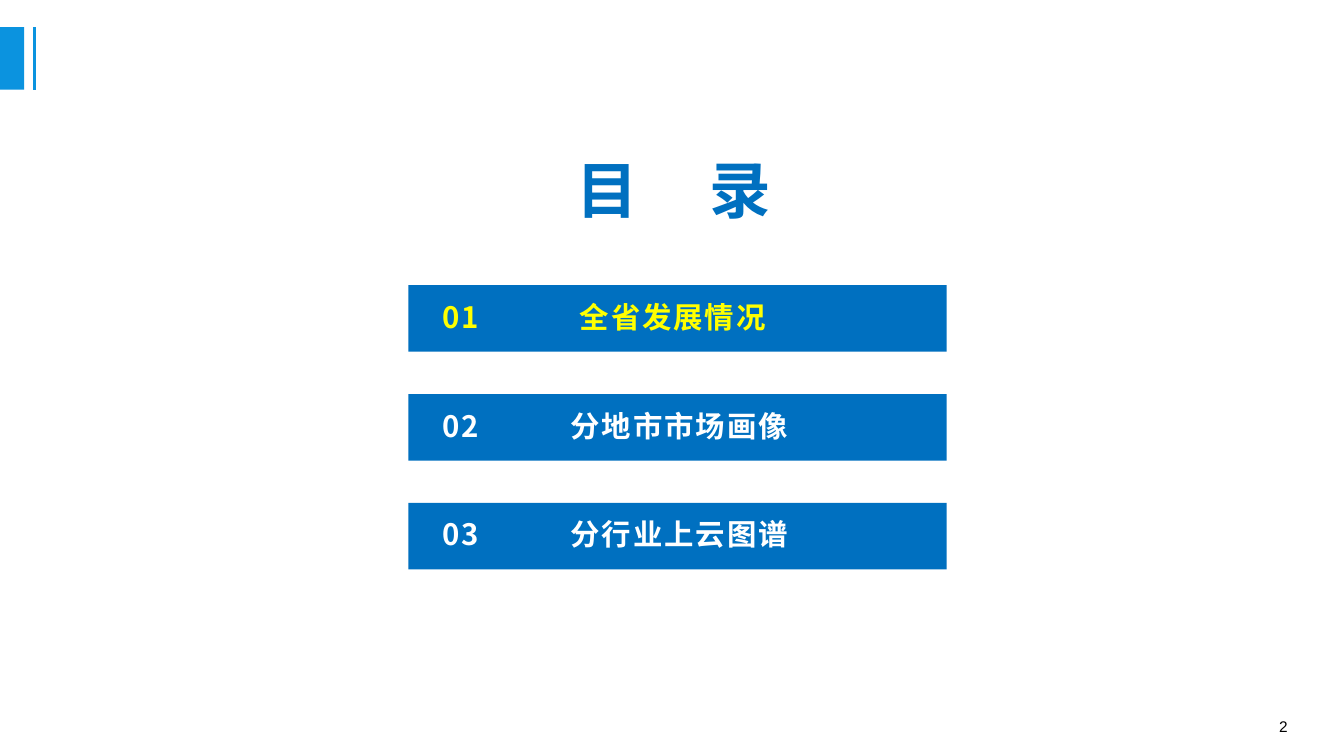
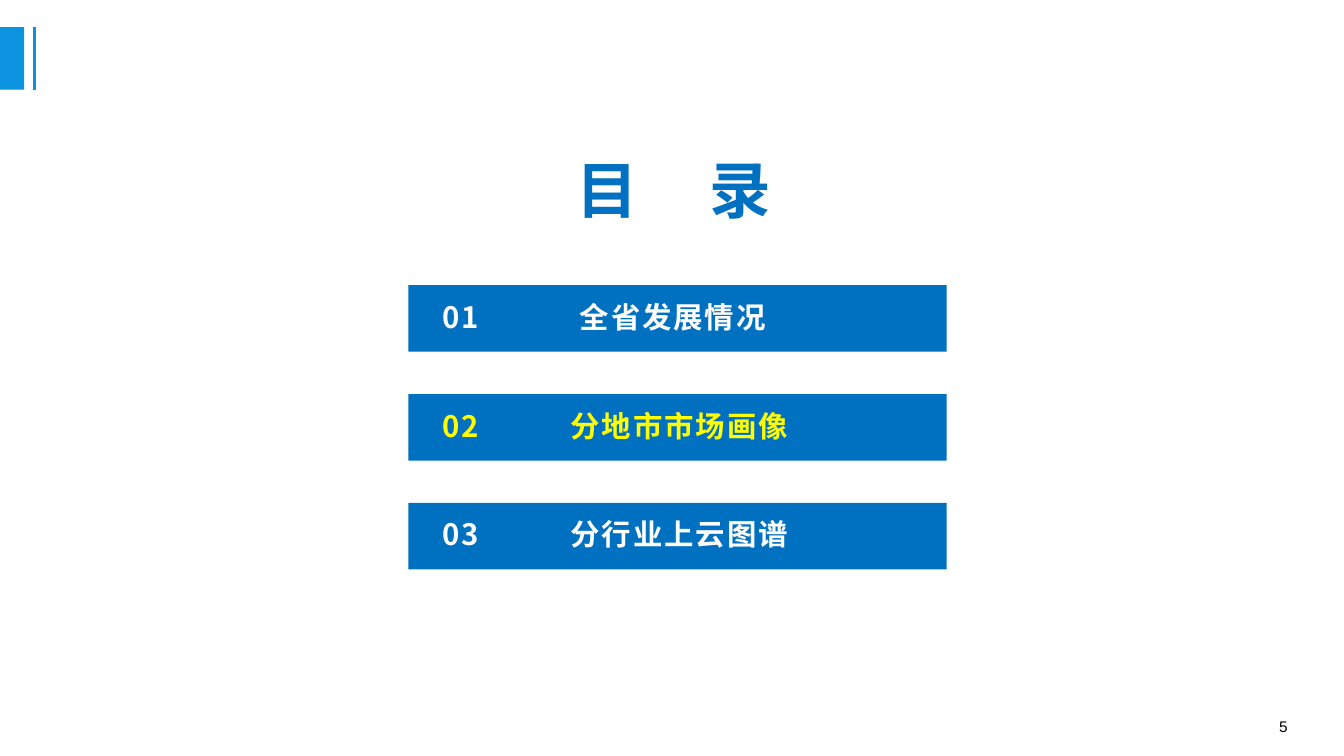
from lxml import etree
from pptx import Presentation
from pptx.dml.color import RGBColor
from pptx.enum import shapes, text
from pptx.oxml import ns
from pptx.util import Inches, Pt

COLORS = {
    "accent": "0B93DF",
    "bar": "0070C0",
    "label": "FFFFFF",
    "current": "FFFF00",
    "number": "000000",
}
HEADING_FONT = "Noto Sans CJK SC"
NUMBER_FONT = "Arial"

HEADING = "目\t录"
CHAPTERS = [
    ("01", "全省发展情况", 1.36),
    ("02", "分地市市场画像", 1.27),
    ("03", "分行业上云图谱", 1.27),
]
AGENDAS = [
    {"page": "2", "current": "01"},
    {"page": "5", "current": "02"},
]

BAR_LEFT, BAR_TOP, BAR_WIDTH, BAR_HEIGHT = 4.05, 2.83, 5.34, 0.66
BAR_PITCH = 1.08
BAND_TOP, BAND_HEIGHT = 0.27, 0.62


def rgb(name):
    return RGBColor.from_string(COLORS[name])


def box(left, top, width, height):
    return [Inches(side) for side in (left, top, width, height)]


def write(shape, content, *, size, color, font=HEADING_FONT, bold=True,
          align=text.PP_ALIGN.LEFT, spacing=0, tab=None, insets=(0, 0, 0, 0)):
    frame = shape.text_frame
    frame.word_wrap = True
    frame.auto_size = text.MSO_AUTO_SIZE.NONE
    frame.vertical_anchor = text.MSO_ANCHOR.MIDDLE
    (frame.margin_left, frame.margin_top,
     frame.margin_right, frame.margin_bottom) = box(*insets)

    paragraph = frame.paragraphs[0]
    paragraph.alignment = align
    if tab is not None:
        stops = etree.SubElement(paragraph._p.get_or_add_pPr(), ns.qn("a:tabLst"))
        etree.SubElement(stops, ns.qn("a:tab"), pos=str(Inches(tab)), algn="l")

    run = paragraph.add_run()
    run.text = content
    run.font.size = Pt(size)
    run.font.bold = bold
    run.font.name = font
    run.font.color.rgb = rgb(color)
    properties = run.font._element
    properties.set("spc", str(round(spacing * 100)))
    etree.SubElement(properties, ns.qn("a:ea"), typeface=font)


def add_block(slide, color, *place):
    block = slide.shapes.add_shape(shapes.MSO_SHAPE.RECTANGLE, *box(*place))
    block.shadow.inherit = False
    block.fill.solid()
    block.fill.fore_color.rgb = rgb(color)
    block.line.fill.background()
    return block


def add_frame(slide, page):
    add_block(slide, "accent", 0, BAND_TOP, 0.24, BAND_HEIGHT)
    rule = slide.shapes.add_connector(
        shapes.MSO_CONNECTOR.STRAIGHT,
        *box(0.34, BAND_TOP, 0.34, BAND_TOP + BAND_HEIGHT))
    rule.line.color.rgb = rgb("accent")
    rule.line.width = Pt(2.25)
    etree.SubElement(rule._element.spPr, ns.qn("a:effectLst"))

    page_number = slide.shapes.add_textbox(*box(12.29, 7.06, 0.58, 0.29))
    write(page_number, page, size=11, color="number", font=NUMBER_FONT,
          bold=False, align=text.PP_ALIGN.RIGHT, insets=(0.1, 0.05, 0.1, 0.05))


def add_agenda(deck, page, current):
    slide = deck.slides.add_slide(deck.slide_layouts[5])
    add_frame(slide, page)

    heading = slide.shapes.title
    heading.left, heading.top, heading.width, heading.height = box(5.72, 1.54, 2.59, 0.67)
    write(heading, HEADING, size=44, color="bar", tab=1.32)

    for row, (number, chapter, tab) in enumerate(CHAPTERS):
        bar = add_block(slide, "bar", BAR_LEFT, BAR_TOP + row * BAR_PITCH,
                        BAR_WIDTH, BAR_HEIGHT)
        write(bar, f"{number}\t{chapter}", size=21, spacing=1.4, tab=tab,
              color="current" if number == current else "label",
              insets=(0.34, 0, 0, 0.04))


def main():
    deck = Presentation()
    deck.slide_width, deck.slide_height = Inches(13.33), Inches(7.5)
    for agenda in AGENDAS:
        add_agenda(deck, **agenda)
    deck.save("out.pptx")


if __name__ == "__main__":
    main()
